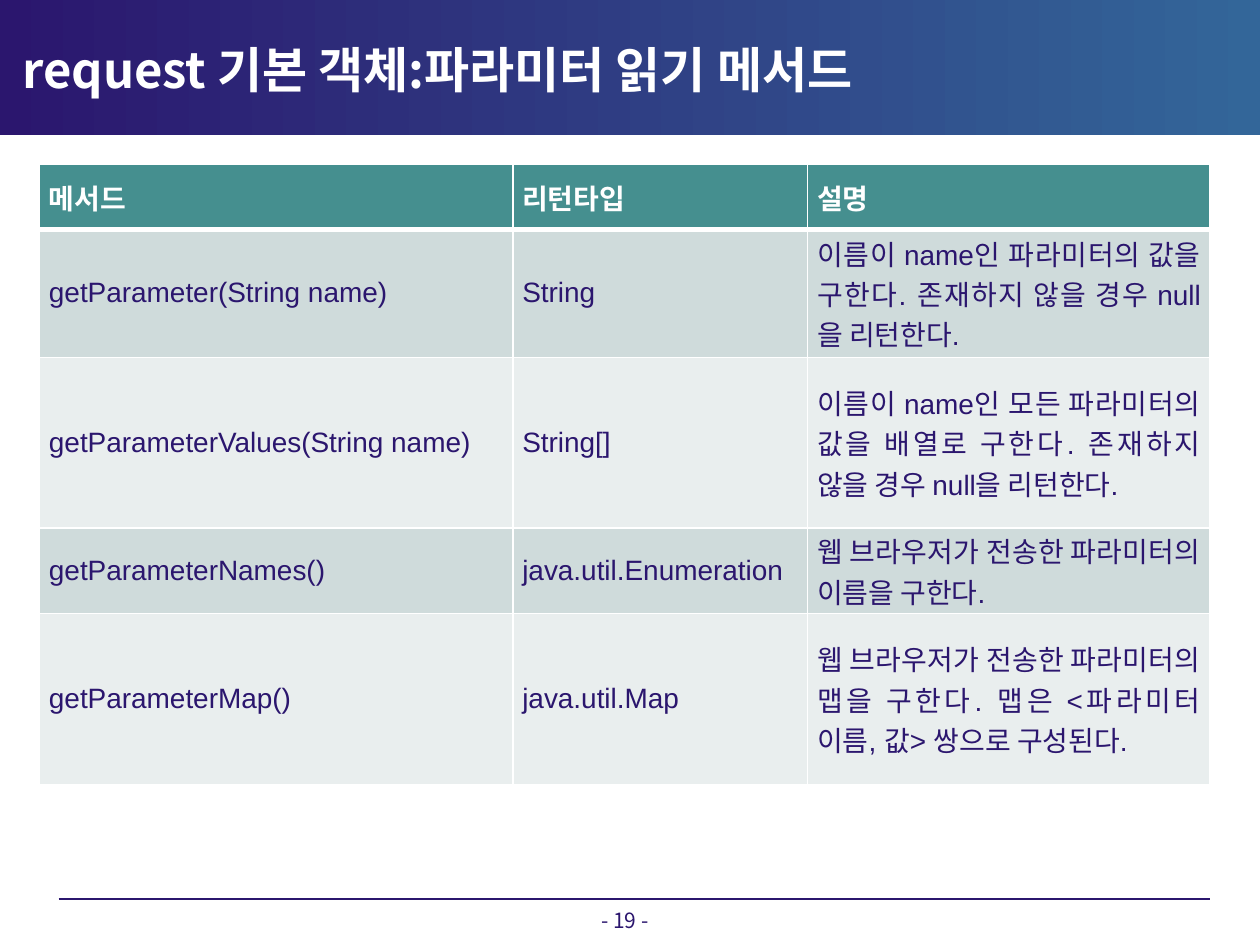
from dataclasses import dataclass

from lxml import etree
from pptx import Presentation
from pptx.dml.color import RGBColor
from pptx.enum.shapes import MSO_CONNECTOR, MSO_SHAPE
from pptx.enum.text import MSO_ANCHOR, PP_ALIGN
from pptx.oxml.ns import qn
from pptx.util import Pt

LEFT, CENTER, JUSTIFY = PP_ALIGN.LEFT, PP_ALIGN.CENTER, PP_ALIGN.JUSTIFY
MIDDLE = MSO_ANCHOR.MIDDLE
RECTANGLE = MSO_SHAPE.RECTANGLE
STRAIGHT = MSO_CONNECTOR.STRAIGHT


@dataclass(frozen=True)
class Theme:
    ink: str = "2B166E"
    blue: str = "336699"
    white: str = "FFFFFF"
    header: str = "458F8F"
    bands: tuple = ("CFDBDB", "E9EEEE")
    latin: str = "Arial"
    korean: str = "Noto Sans CJK KR"
    title_size: int = 28
    table_size: int = 16
    footer_size: int = 12


class SlideBuilder:
    def __init__(self, slide, theme):
        self.slide = slide
        self.theme = theme

    def style(self, p, font, size, color, bold=False, align=LEFT):
        p.alignment = align
        for r in p.runs:
            r.font.name = font
            r.font.size = Pt(size)
            r.font.bold = bold
            r.font.color.rgb = RGBColor.from_string(color)
            ea = etree.SubElement(r.font._element, qn("a:ea"))
            ea.set("typeface", self.theme.korean)

    def gradient_band(self, x, y, w, h, colors):
        sp = self.slide.shapes.add_shape(RECTANGLE, Pt(x), Pt(y), Pt(w), Pt(h))
        sp.shadow.inherit = False
        sp.line.fill.background()
        sp.fill.gradient()
        sp.fill.gradient_angle = 0
        for stop, color in zip(sp.fill.gradient_stops, colors):
            stop.color.rgb = RGBColor.from_string(color)

    def line(self, x1, y1, x2, y2, color, width):
        cxn = self.slide.shapes.add_connector(
            STRAIGHT, Pt(x1), Pt(y1), Pt(x2), Pt(y2))
        cxn.line.color.rgb = RGBColor.from_string(color)
        cxn.line.width = Pt(width)
        etree.SubElement(cxn._element.spPr, qn("a:effectLst"))

    def text(self, x, y, w, h, text, size, color, bold=False, align=LEFT):
        box = self.slide.shapes.add_textbox(Pt(x), Pt(y), Pt(w), Pt(h))
        tf = box.text_frame
        tf.word_wrap = True
        tf.vertical_anchor = MIDDLE
        tf.margin_top = tf.margin_bottom = 0
        tf.text = text
        self.style(tf.paragraphs[0], self.theme.korean, size, color, bold, align)

    def table(self, x, y, widths, heights, rows):
        t = self.theme
        frame = self.slide.shapes.add_table(
            len(rows), len(widths), Pt(x), Pt(y), Pt(sum(widths)), Pt(sum(heights)))
        table = frame.table
        for column, width in zip(table.columns, widths):
            column.width = Pt(width)
        for i, (row, height, texts) in enumerate(zip(table.rows, heights, rows)):
            row.height = Pt(height)
            is_header = i == 0
            fill = t.header if is_header else t.bands[(i - 1) % 2]
            color = t.white if is_header else t.ink
            for cell, text in zip(row.cells, texts):
                cell.text = text
                cell.vertical_anchor = MIDDLE
                cell.margin_left = cell.margin_right = Pt(5.4)
                cell.margin_top = cell.margin_bottom = 0
                cell.fill.solid()
                cell.fill.fore_color.rgb = RGBColor.from_string(fill)
                self.style(cell.text_frame.paragraphs[0], t.latin, t.table_size,
                           color, is_header, JUSTIFY)
                self.borders(cell, top=3 if i == 1 else 1,
                             bottom=3 if is_header else 1)

    def borders(self, cell, top, bottom):
        tc_pr = cell._tc.get_or_add_tcPr()
        sides = (("L", 1), ("R", 1), ("T", top), ("B", bottom))
        for i, (side, width) in enumerate(sides):
            ln = etree.Element(qn(f"a:ln{side}"), w=str(Pt(width)))
            fill = etree.SubElement(ln, qn("a:solidFill"))
            etree.SubElement(fill, qn("a:srgbClr"), val=self.theme.white)
            tc_pr.insert(i, ln)


METHOD_ROWS = [
    ("메서드", "리턴타입", "설명"),
    ("getParameter(String name)", "String",
     "이름이 name인 파라미터의 값을 구한다. 존재하지 않을 경우 null을 리턴한다."),
    ("getParameterValues(String name)", "String[]",
     "이름이 name인 모든 파라미터의 값을 배열로 구한다. 존재하지 않을 경우 null을 리턴한다."),
    ("getParameterNames()", "java.util.Enumeration",
     "웹 브라우저가 전송한 파라미터의 이름을 구한다."),
    ("getParameterMap()", "java.util.Map",
     "웹 브라우저가 전송한 파라미터의 맵을 구한다. 맵은 <파라미터 이름, 값> 쌍으로 구성된다."),
]


def main():
    prs = Presentation()
    prs.slide_width, prs.slide_height = Pt(720), Pt(540)
    theme = Theme()
    s = SlideBuilder(prs.slides.add_slide(prs.slide_layouts[6]), theme)

    s.line(33.5, 513.8, 691.2, 513.8, theme.ink, 0.75)
    s.gradient_band(0, 0, 720, 77, (theme.ink, theme.blue))
    s.text(286.5, 518, 141, 16, "- 19 -", theme.footer_size, theme.ink, align=CENTER)
    s.text(5.8, 16.8, 540, 44.6, "request 기본 객체:파라미터 읽기 메서드",
           theme.title_size, theme.white, bold=True)
    s.table(22.6, 94, widths=(270.5, 168.5, 230),
            heights=(37, 73.2, 97.6, 48.8, 97.6), rows=METHOD_ROWS)
    prs.save("out.pptx")


if __name__ == "__main__":
    main()
